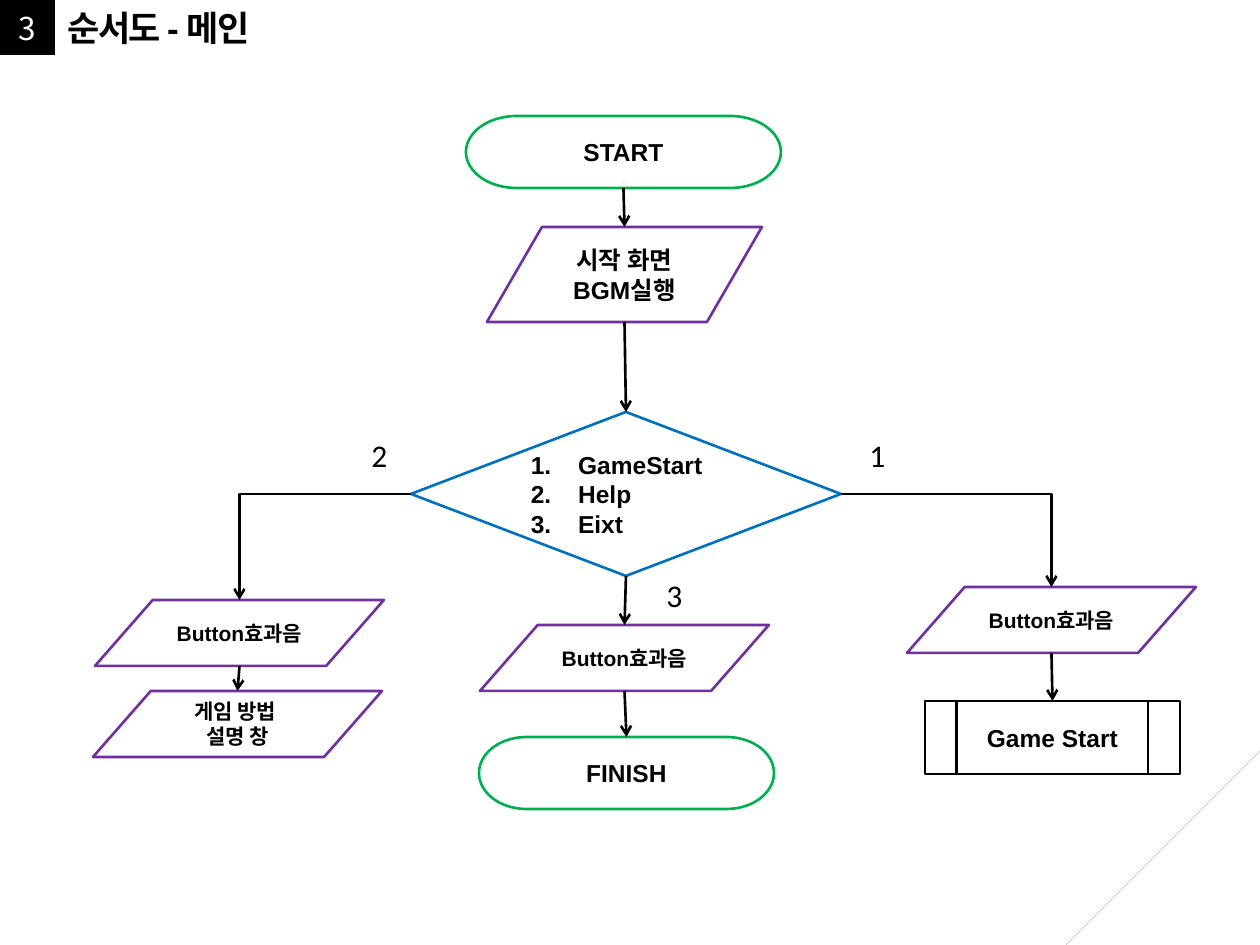
"""Build the main flowchart slide of a small game."""
from lxml import etree
from pptx import Presentation
from pptx.dml.color import RGBColor
from pptx.enum.dml import MSO_LINE
from pptx.enum.shapes import MSO_CONNECTOR, MSO_SHAPE
from pptx.enum.text import MSO_ANCHOR, MSO_AUTO_SIZE, PP_ALIGN
from pptx.oxml.ns import qn
from pptx.util import Emu, Pt

STRAIGHT, ELBOW = MSO_CONNECTOR.STRAIGHT, MSO_CONNECTOR.ELBOW
TERMINATOR = MSO_SHAPE.FLOWCHART_TERMINATOR
DATA = MSO_SHAPE.FLOWCHART_DATA
DECISION = MSO_SHAPE.FLOWCHART_DECISION
PROCESS = MSO_SHAPE.FLOWCHART_PREDEFINED_PROCESS
RECTANGLE = MSO_SHAPE.RECTANGLE
LEFT, CENTER = PP_ALIGN.LEFT, PP_ALIGN.CENTER
TOP, MIDDLE = MSO_ANCHOR.TOP, MSO_ANCHOR.MIDDLE
SOLID = MSO_LINE.SOLID

SCALE = 914400 / 126
COLORS = {"black": "000000", "white": "FFFFFF", "green": "00B050",
          "purple": "7030A0", "blue": "0070C0", "grey": "BFBFBF"}
LATIN, BODY, KOREAN = "Arial", "Calibri", "Noto Sans CJK KR"

TITLE = ("순서도 - 메인", (55, 0, 367, 55))
NUMBER = ("3", (0, 0, 55, 55))
CORNER = (1260, 751, 1066, 945)
BUTTON = (289, 66)
STYLES = {TERMINATOR: "green", DATA: "purple", DECISION: "blue", PROCESS: "black"}
NODES = {
    "start": (TERMINATOR, "START", 14, (466, 116, 315, 72)),
    "screen": (DATA, "시작 화면\nBGM실행", 14, (487, 227, 275, 95)),
    "menu": (DECISION, "GameStart\nHelp\nEixt", 14, (411, 412, 430, 164)),
    "help": (DATA, "Button효과음", 12, (95, 600, *BUTTON)),
    "play": (DATA, "Button효과음", 12, (907, 587, *BUTTON)),
    "exit": (DATA, "Button효과음", 12, (480, 625, *BUTTON)),
    "guide": (DATA, "게임 방법 \n설명 창", 12, (93, 691, *BUTTON)),
    "game": (PROCESS, "Game Start", 14, (925, 701, 255, 73)),
    "finish": (TERMINATOR, "FINISH", 14, (479, 737, 295, 72)),
}
FLOWS = [("start", "screen"), ("screen", "menu"), ("menu", "exit"),
         ("exit", "finish"), ("play", "game"), ("help", "guide")]
BRANCHES = [("menu", 1, "help"), ("menu", 3, "play")]
LABELS = [("2", 359, 430), ("3", 654, 570), ("1", 857, 430)]


def px(*values):
    return [Emu(round(v * SCALE)) for v in values]


def rgb(name):
    return RGBColor.from_string(COLORS[name])


def write(tf, text, size, color="black", font=LATIN, bold=False, align=CENTER):
    tf.text = text
    for p in tf.paragraphs:
        p.alignment = align
        for r in p.runs:
            r.font.size, r.font.bold, r.font.name = Pt(size), bold, font
            r.font.color.rgb = rgb(color)
            etree.SubElement(r._r.get_or_add_rPr(), qn("a:ea"), typeface=KOREAN)


def add_box(shapes, kind, box, fill, line=None):
    sp = shapes.add_shape(kind, *px(*box))
    sp.shadow.inherit = False
    sp.fill.solid()
    sp.fill.fore_color.rgb = rgb(fill)
    if line:
        sp.line.color.rgb, sp.line.width = rgb(line), Pt(1.5)
    else:
        sp.line.fill.background()
    sp.text_frame.vertical_anchor = MIDDLE
    return sp


def add_line(shapes, kind, ends, color="black", width=1.5, arrow=True):
    cx = shapes.add_connector(kind, *px(*ends))
    cx.line.color.rgb, cx.line.width = rgb(color), Pt(width)
    cx.line.dash_style = SOLID
    if arrow:
        etree.SubElement(cx.line._get_or_add_ln(), qn("a:tailEnd"), type="arrow")
    etree.SubElement(cx._element.spPr, qn("a:effectLst"))
    return cx


def side(name, site):
    x, y, w, h = NODES[name][3]
    return [(x + w / 2, y), (x, y + h / 2), (x + w / 2, y + h), (x + w, y + h / 2)][site]


def number_list(tf):
    for p in tf.paragraphs:
        pPr = p._p.get_or_add_pPr()
        pPr.set("marL", "342900")
        pPr.set("indent", "-342900")
        etree.SubElement(pPr, qn("a:buFont"), typeface=LATIN)
        etree.SubElement(pPr, qn("a:buAutoNum"), type="arabicPeriod")


def add_title(s):
    text, box = TITLE
    sp = s.shapes.title
    sp.left, sp.top, sp.width, sp.height = px(*box)
    sp.fill.solid()
    sp.fill.fore_color.rgb = rgb("white")
    tf = sp.text_frame
    write(tf, text, 20, bold=True, align=LEFT)
    tf.vertical_anchor, tf.auto_size, tf.word_wrap = TOP, MSO_AUTO_SIZE.NONE, True
    tf.paragraphs[0].runs[0]._r.get_or_add_rPr().set("spc", "-100")


def add_flowchart(shapes):
    drawn = {}
    for name, (kind, text, size, box) in NODES.items():
        sp = drawn[name] = add_box(shapes, kind, box, "white", STYLES[kind])
        write(sp.text_frame, text, size, bold=True, align=LEFT if kind == DECISION else CENTER)
    number_list(drawn["menu"].text_frame)

    for source, target in FLOWS:
        cx = add_line(shapes, STRAIGHT, side(source, 2) + side(target, 0))
        if NODES[source][0] != DATA:
            cx.begin_connect(drawn[source], 2)
        if NODES[target][0] != DATA:
            cx.end_connect(drawn[target], 0)

    for source, site, target in BRANCHES:
        cx = add_line(shapes, ELBOW, side(source, site) + side(target, 0))
        cx._element.spPr.find(qn("a:prstGeom")).set("prst", "bentConnector2")

    for text, x, y in LABELS:
        tf = shapes.add_textbox(*px(x, y, 42, 50)).text_frame
        write(tf, text, 18, font=BODY, align=LEFT)


def main():
    prs = Presentation()
    prs.slide_width, prs.slide_height = px(1260, 945)
    s = prs.slides.add_slide(prs.slide_layouts[5])
    add_line(s.shapes, STRAIGHT, CORNER, "grey", 0.25, arrow=False)
    add_title(s)
    text, box = NUMBER
    write(add_box(s.shapes, RECTANGLE, box, "black").text_frame, text, 18, "white", KOREAN)
    add_flowchart(s.shapes)
    prs.save("out.pptx")


if __name__ == "__main__":
    main()
